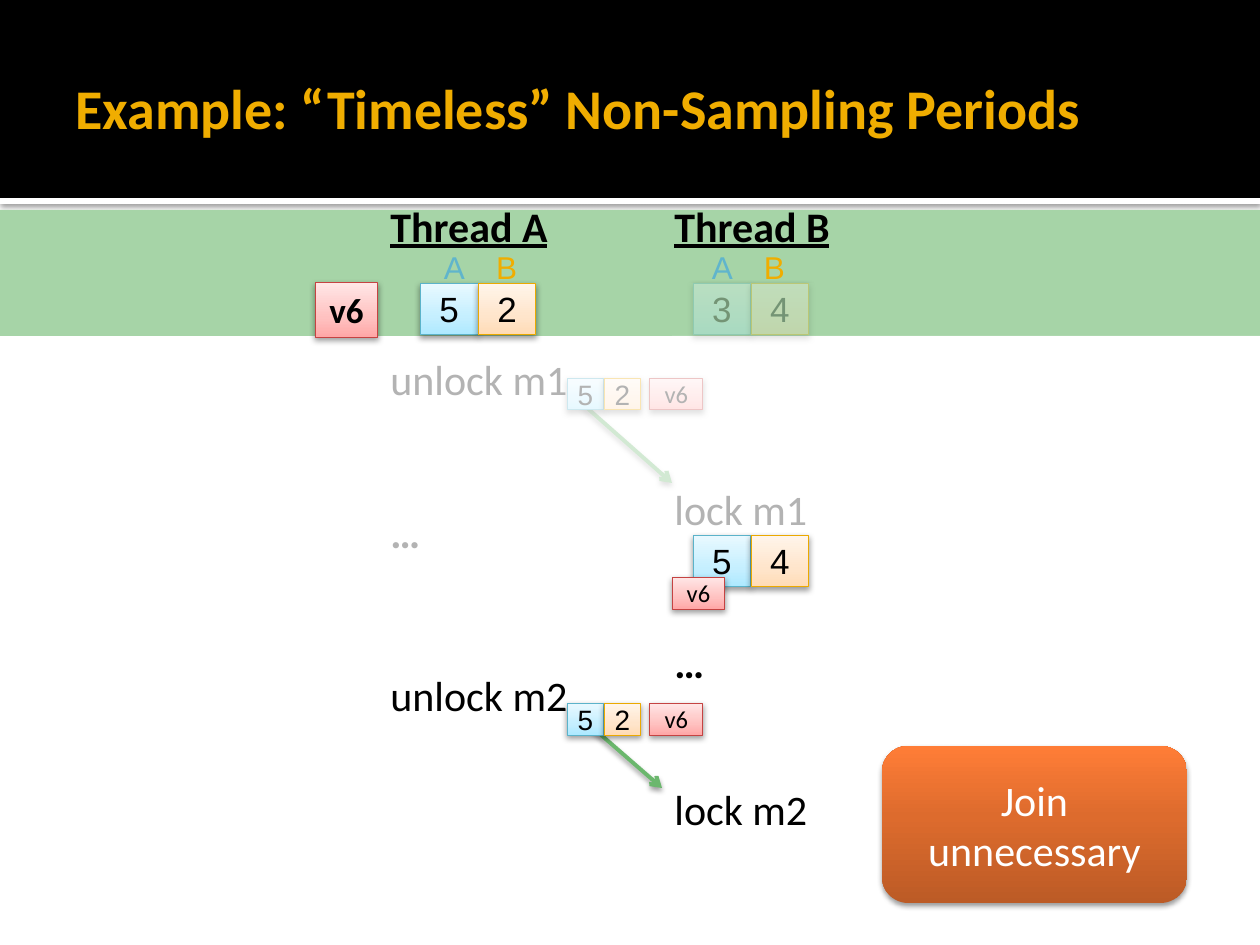
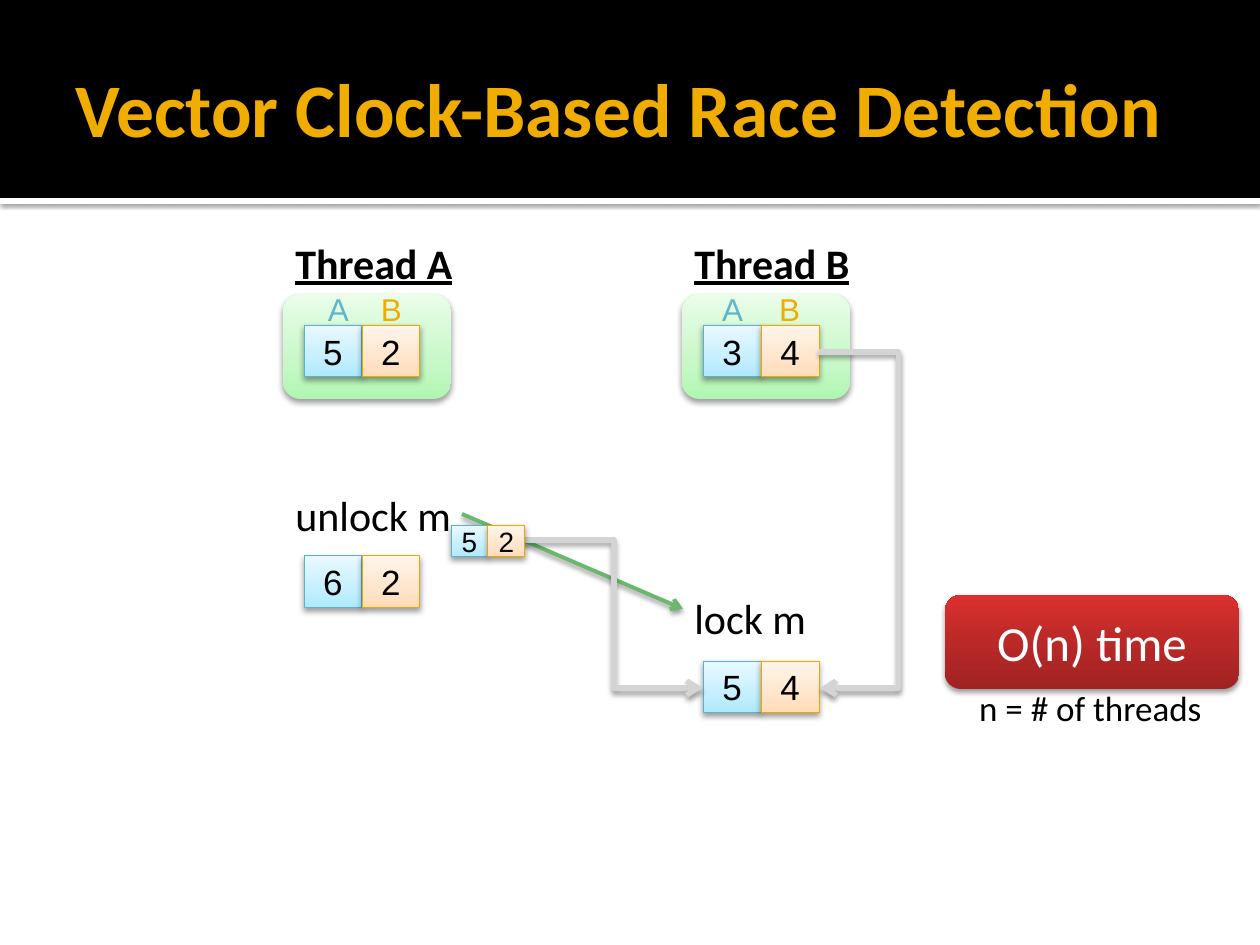
from copy import deepcopy
from dataclasses import dataclass

from lxml import etree
from pptx import Presentation
from pptx import util as u
from pptx.dml.color import RGBColor
from pptx.enum import shapes, text
from pptx.oxml.ns import qn

EMU_PER_PX = 914400 / 126
SLIDE_WIDTH, SLIDE_HEIGHT = 1260, 945
HEADING_FONT, DIGIT_FONT = "Calibri", "Arial"

# Colours
BLACK = RGBColor(0x00, 0x00, 0x00)
WHITE = RGBColor(0xFF, 0xFF, 0xFF)
GOLD = RGBColor(0xF0, 0xAD, 0x00)
SKY = RGBColor(0x60, 0xB5, 0xCC)
SAMPLING_GREEN = RGBColor(0xA6, 0xD4, 0xA7)
ARROW_GREEN = RGBColor(0x6B, 0xB7, 0x6D)
JOIN_GREY = RGBColor(0xD4, 0xD4, 0xD6)
BLUE_EDGE = RGBColor(0x5B, 0xB3, 0xCA)
ORANGE_EDGE = RGBColor(0xEB, 0xA9, 0x00)
RED_EDGE = RGBColor(0xC5, 0x43, 0x42)


@dataclass(frozen=True)
class Area:
    left: int
    top: int
    width: int
    height: int


@dataclass(frozen=True)
class Style:
    """Gradient from bottom to top, with an optional outline."""
    stops: tuple[str, str, str]
    middle: float = 0.35
    edge: RGBColor | None = None


@dataclass(frozen=True)
class Size:
    width: int
    height: int
    points: int


@dataclass(frozen=True)
class Event:
    """A line of a thread's column and the gap above it in points."""
    words: str
    gap: float = 0
    bold: bool = False
    underline: bool = False


@dataclass(frozen=True)
class Shadow:
    opacity: int = 38
    blur: float = 3.5
    distance: float = 2


BLUE = Style(("ADE9FF", "C5EFFF", "E9F9FF"), edge=BLUE_EDGE)
ORANGE = Style(("FFDBB5", "FFE5CB", "FFF5EB"), edge=ORANGE_EDGE)
PINK = Style(("FFA7A7", "FFC1C0", "FFE7E7"), edge=RED_EDGE)
MINT = Style(("B0F6B1", "C8F8C8", "E9FDE9"))
ORANGE_CALLOUT = Style(("BC5B26", "DD6B2D", "FF7D37"), 0.55)
RED_CALLOUT = Style(("A02322", "BC2A28", "DC302F"), 0.55)

CLOCK = Size(58, 52, 20)
SMALL_CLOCK = Size(37, 32, 16)
VERSION = Size(63, 55, 20)
SMALL_VERSION = Size(53, 32, 14)
STRONG_SHADOW = Shadow(60, 2.5, 0.8)
SOFT_SHADOW = Shadow(blur=3.1)


def px(length: int) -> u.Emu:
    return u.Emu(round(length * EMU_PER_PX))


def place(area: Area) -> tuple:
    return px(area.left), px(area.top), px(area.width), px(area.height)


# Effects
def add_shadow(properties, shadow: Shadow) -> None:
    effects = properties.find(qn("a:effectLst"))
    if effects is None:
        effects = etree.SubElement(properties, qn("a:effectLst"))
    outer = etree.SubElement(
        effects, qn("a:outerShdw"), blurRad=str(u.Pt(shadow.blur)),
        dist=str(u.Pt(shadow.distance)), dir="5400000", rotWithShape="0")
    colour = etree.SubElement(outer, qn("a:srgbClr"), val=str(BLACK))
    etree.SubElement(colour, qn("a:alpha"), val=str(shadow.opacity * 1000))


# Shapes and text
def add_plain(slide, area: Area, colour: RGBColor, opacity: int = 100,
              shadow: Shadow | None = None) -> None:
    shape = slide.shapes.add_shape(shapes.MSO_SHAPE.RECTANGLE, *place(area))
    shape.shadow.inherit = False
    shape.fill.solid()
    shape.fill.fore_color.rgb = colour
    shape.line.fill.background()
    properties = shape._element.spPr
    if opacity < 100:
        fill_colour = properties.find(qn("a:solidFill"))[0]
        etree.SubElement(fill_colour, qn("a:alpha"), val=str(opacity * 1000))
    if shadow:
        add_shadow(properties, shadow)


def add_gradient(slide, area: Area, style: Style, rounded: bool = False,
                 shadow: Shadow = Shadow()):
    kind = shapes.MSO_SHAPE.ROUNDED_RECTANGLE if rounded else shapes.MSO_SHAPE.RECTANGLE
    shape = slide.shapes.add_shape(kind, *place(area))
    shape.shadow.inherit = False
    add_shadow(shape._element.spPr, shadow)
    shape.fill.gradient()
    shape.fill.gradient_angle = 90
    stop_list = shape._element.spPr.find(".//" + qn("a:gsLst"))
    stop_list.append(deepcopy(stop_list[0]))
    positions = (0, style.middle, 1)
    for stop, colour, position in zip(shape.fill.gradient_stops, style.stops, positions):
        stop.color.rgb = RGBColor.from_string(colour)
        stop.position = position
    if style.edge is None:
        shape.line.fill.background()
    else:
        shape.line.color.rgb = style.edge
        shape.line.width = u.Pt(0.5)
    return shape


def set_font(paragraph, font: str, points: float, colour: RGBColor,
             bold: bool = False, underline: bool = False) -> None:
    paragraph.font.name = font
    paragraph.font.size = u.Pt(points)
    paragraph.font.color.rgb = colour
    paragraph.font.bold = bold
    paragraph.font.underline = underline


def write_centred(frame, words: str, font: str, points: float, colour: RGBColor,
                  bold: bool = False) -> None:
    paragraph = frame.paragraphs[0]
    paragraph.text = words
    paragraph.alignment = text.PP_ALIGN.CENTER
    set_font(paragraph, font, points, colour, bold)


def add_cell(slide, left: int, top: int, size: Size, words: str, style: Style,
             font: str, bold: bool = False) -> None:
    shape = add_gradient(slide, Area(left, top, size.width, size.height), style)
    frame = shape.text_frame
    frame.margin_left = frame.margin_right = frame.margin_top = frame.margin_bottom = 0
    frame.vertical_anchor = text.MSO_ANCHOR.MIDDLE
    write_centred(frame, words, font, size.points, BLACK, bold)


def add_clock(slide, left: int, top: int, values: str, size: Size = CLOCK) -> None:
    for index, (value, style) in enumerate(zip(values, (BLUE, ORANGE))):
        add_cell(slide, left + index * size.width, top, size, value, style, DIGIT_FONT)


def add_version(slide, left: int, top: int, size: Size = SMALL_VERSION) -> None:
    add_cell(slide, left, top, size, "v6", PINK, HEADING_FONT, size is VERSION)


def add_label(slide, area: Area, words: str, font: str, points: int,
              colour: RGBColor) -> None:
    frame = slide.shapes.add_textbox(*place(area)).text_frame
    frame.word_wrap = False
    write_centred(frame, words, font, points, colour)


def add_clock_labels(slide, top: int, lefts: tuple[int, ...]) -> None:
    for left, (name, colour) in zip(lefts, (("A", SKY), ("B", GOLD)) * 2):
        add_label(slide, Area(left, top, 47, 50), name, DIGIT_FONT, 18, colour)


def add_callout(slide, area: Area, words: str, points: int, style: Style) -> None:
    frame = add_gradient(slide, area, style, True, SOFT_SHADOW).text_frame
    frame.word_wrap = True
    frame.vertical_anchor = text.MSO_ANCHOR.MIDDLE
    write_centred(frame, words, HEADING_FONT, points, WHITE)


def add_thread(slide, area: Area, name: str, events: list[Event]) -> None:
    frame = slide.shapes.add_textbox(*place(area)).text_frame
    frame.word_wrap = True
    lines = [Event(f"Thread {name}", bold=True, underline=True), *events]
    for index, event in enumerate(lines):
        paragraph = frame.add_paragraph() if index else frame.paragraphs[0]
        paragraph.text = event.words
        if event.gap:
            paragraph.space_before = u.Pt(event.gap)
        set_font(paragraph, HEADING_FONT, 24, BLACK, event.bold, event.underline)


def add_arrow(slide, start: tuple[int, int], end: tuple[int, int],
              bend: float | None = None) -> None:
    """Straight green arrow, or a grey elbow that turns at bend times its width."""
    straight = bend is None
    kind = shapes.MSO_CONNECTOR.STRAIGHT if straight else shapes.MSO_CONNECTOR.ELBOW
    connector = slide.shapes.add_connector(kind, *map(px, start + end))
    connector.line.color.rgb = ARROW_GREEN if straight else JOIN_GREY
    connector.line.width = u.Pt(2.25 if straight else 3)
    properties = connector._element.spPr
    etree.SubElement(properties.find(qn("a:ln")), qn("a:tailEnd"), type="arrow")
    if not straight:
        adjustments = properties.find(".//" + qn("a:avLst"))
        etree.SubElement(adjustments, qn("a:gd"), name="adj1",
                         fmla=f"val {round(bend * 100000)}")
    add_shadow(properties, SOFT_SHADOW)


# Shared slide frame
def add_slide(presentation):
    slide = presentation.slides.add_slide(presentation.slide_layouts[6])
    add_plain(slide, Area(0, 198, SLIDE_WIDTH, 6), WHITE, shadow=STRONG_SHADOW)
    add_plain(slide, Area(0, 0, SLIDE_WIDTH, 198), BLACK)
    return slide


def add_title(slide, words: str, points: float) -> None:
    frame = slide.shapes.add_textbox(*place(Area(63, 21, 1134, 173))).text_frame
    frame.word_wrap = True
    frame.vertical_anchor = text.MSO_ANCHOR.MIDDLE
    frame.margin_right = u.Inches(0.05)
    paragraph = frame.paragraphs[0]
    paragraph.text = words
    set_font(paragraph, HEADING_FONT, points, GOLD, True)


def build_timeless_slide(presentation) -> None:
    slide = add_slide(presentation)
    add_plain(slide, Area(0, 210, SLIDE_WIDTH, 126), SAMPLING_GREEN)
    add_title(slide, "Example: “Timeless” Non-Sampling Periods", 32)

    # Threads and their clocks
    add_thread(slide, Area(378, 194, 210, 538), "A", [
        Event("unlock m1", 58.6), Event("…", 58.6, True), Event("unlock m2", 64.4)])
    add_thread(slide, Area(662, 194, 210, 653), "B", [
        Event("lock m1", 133.3), Event("…", 58.6, True), Event("lock m2", 55.2)])
    add_arrow(slide, (577, 399), (672, 483))
    add_clock(slide, 420, 283, "52")
    add_clock(slide, 693, 283, "34")
    add_clock_labels(slide, 242, (431, 483, 699, 751))
    add_arrow(slide, (577, 714), (662, 788))
    add_version(slide, 315, 282, VERSION)

    # Past events fade behind veils
    add_plain(slide, Area(0, 609, SLIDE_WIDTH, 63), WHITE, 70)
    add_clock(slide, 567, 378, "52", SMALL_CLOCK)
    add_version(slide, 650, 378)
    add_plain(slide, Area(0, 346, SLIDE_WIDTH, 294), WHITE, 70)
    add_plain(slide, Area(662, 283, 598, 53), SAMPLING_GREEN, 70)
    add_plain(slide, Area(672, 336, 588, 21), WHITE, 70)

    # Current state
    add_clock(slide, 567, 703, "52", SMALL_CLOCK)
    add_version(slide, 650, 703)
    add_callout(slide, Area(882, 746, 305, 157), "Join unnecessary", 24, ORANGE_CALLOUT)
    add_clock(slide, 693, 535, "54")
    add_version(slide, 672, 577)


def build_race_detection_slide(presentation) -> None:
    slide = add_slide(presentation)
    add_title(slide, "Vector Clock-Based Race Detection", 43.2)

    # Threads and their clocks
    for left, values in ((283, "52"), (682, "34")):
        add_gradient(slide, Area(left, 294, 168, 105), MINT, True)
        add_clock(slide, left + 21, 325, values)
    add_clock_labels(slide, 284, (315, 368, 709, 766))
    add_thread(slide, Area(283, 231, 199, 471), "A", [Event("unlock m", 115.5)])
    add_thread(slide, Area(682, 231, 199, 471), "B", [Event("lock m", 174.1)])

    # Clock join
    add_arrow(slide, (462, 514), (683, 609))
    add_clock(slide, 304, 556, "62")
    add_clock(slide, 703, 661, "54")
    add_arrow(slide, (819, 352), (820, 688), bend=80)
    add_arrow(slide, (525, 540), (703, 688), bend=0.5)
    add_clock(slide, 451, 525, "52", SMALL_CLOCK)

    # Cost
    add_label(slide, Area(966, 680, 249, 55), "n = # of threads", HEADING_FONT, 20, BLACK)
    add_callout(slide, Area(945, 595, 294, 94), "O(n) time", 28, RED_CALLOUT)


def main() -> None:
    presentation = Presentation()
    presentation.slide_width = px(SLIDE_WIDTH)
    presentation.slide_height = px(SLIDE_HEIGHT)
    build_timeless_slide(presentation)
    build_race_detection_slide(presentation)
    presentation.save("out.pptx")


if __name__ == "__main__":
    main()
